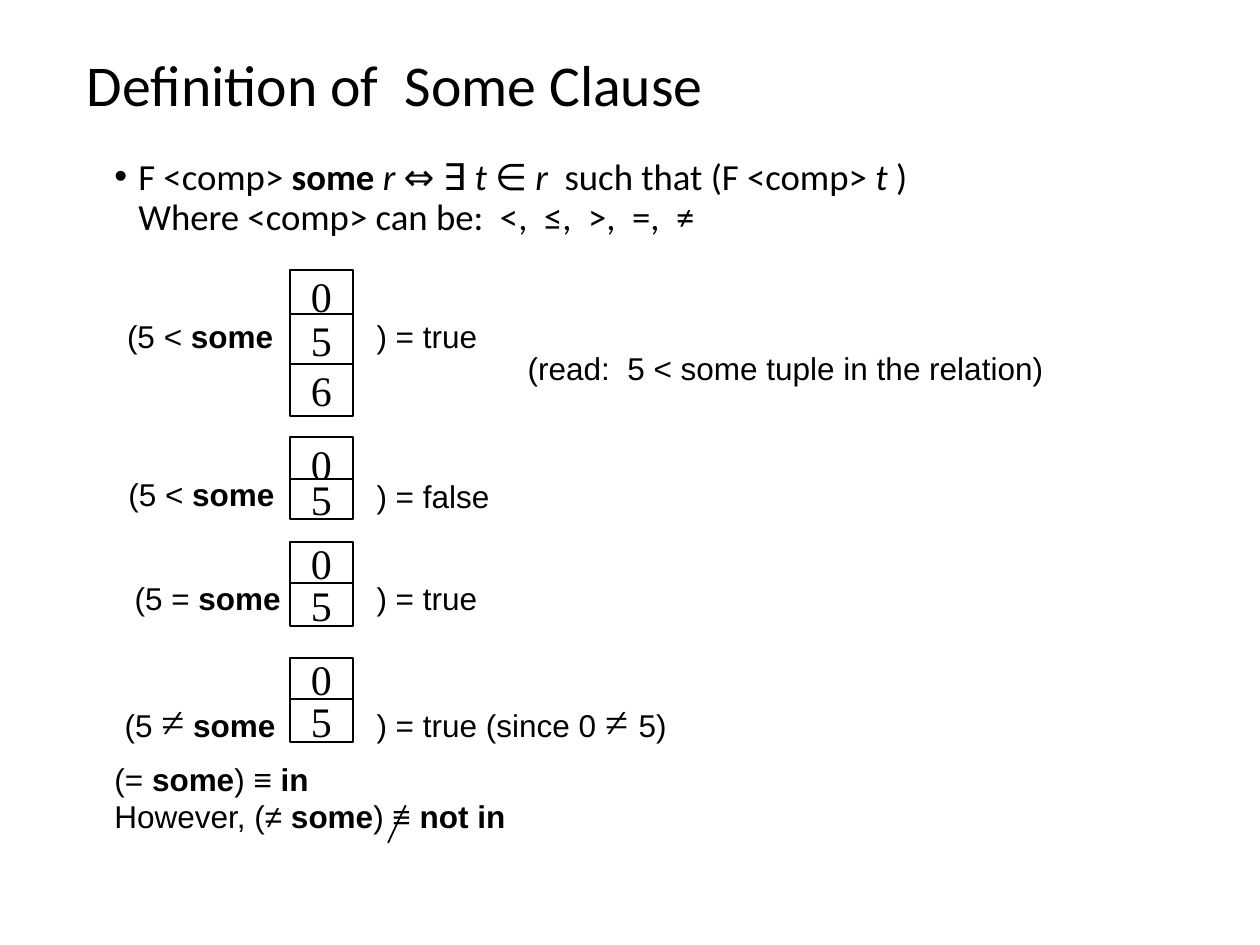
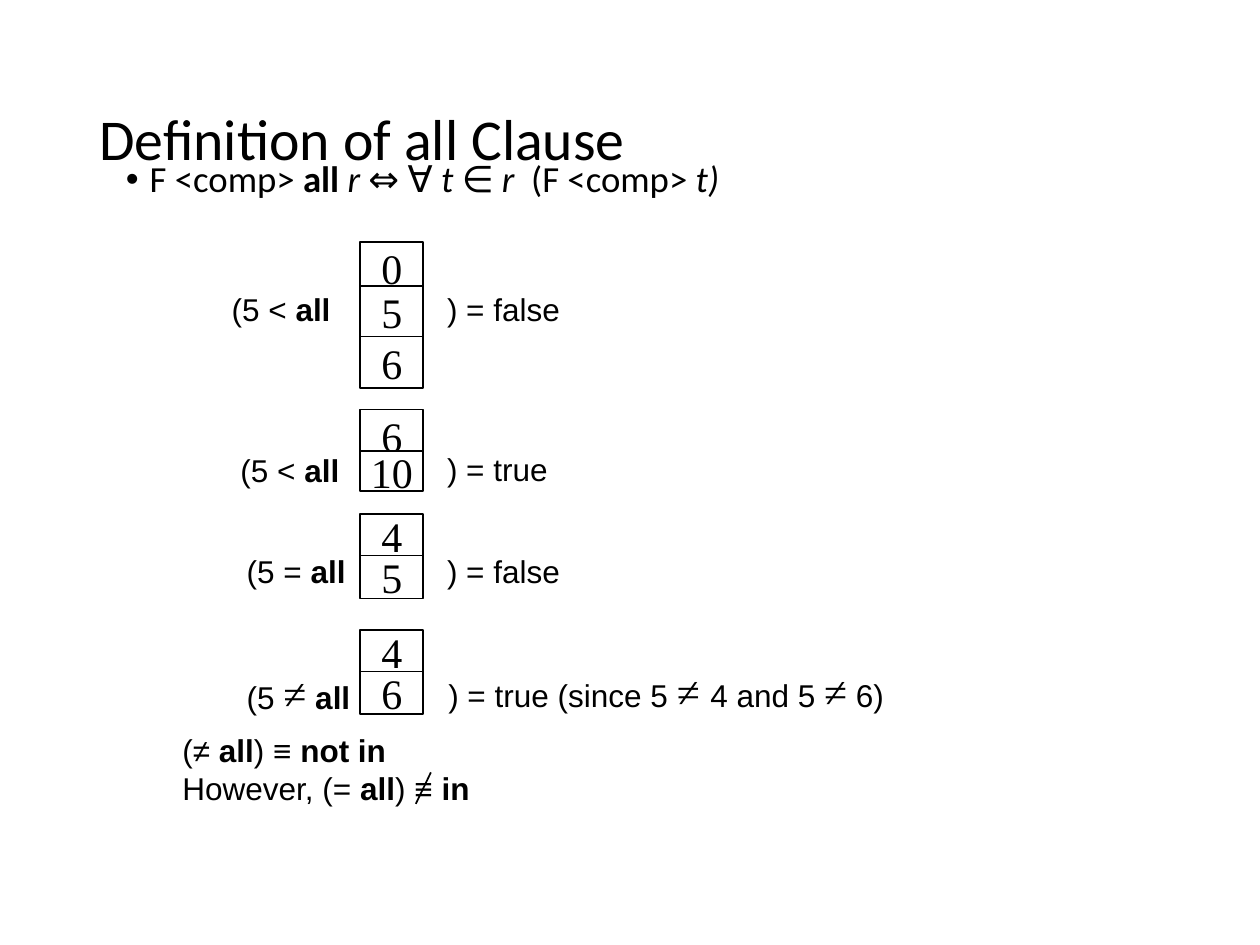
from lxml.etree import SubElement
from pptx import Presentation
from pptx.dml.color import RGBColor
from pptx.enum.shapes import MSO_CONNECTOR, MSO_SHAPE
from pptx.enum.text import MSO_ANCHOR, PP_ALIGN
from pptx.oxml.ns import qn
from pptx.util import Inches, Pt

COLORS = {"ink": "000000", "paper": "FFFFFF"}
INK = RGBColor.from_string(COLORS["ink"])
PAPER = RGBColor.from_string(COLORS["paper"])
BOX_WIDTH = 0.5
STACKS = [
    [(0, 0.41), (0.35, 0.41), (0.75, 0.41)],
    [(1.33, 0.42), (1.66, 0.32)],
    [(2.16, 0.34), (2.49, 0.34)],
    [(3.08, 0.34), (3.41, 0.34)],
]
NE = ("≠", "s")

SLIDES = [
    {
        "title": ("Definition of  Some Clause", (0.59, 0.36, 8.83, 0.67)),
        "body": (0.81, 1.21, 7.44, 0.78),
        "rule": [("F <comp> ", ""), ("some ", "b"), ("r ", "i"), ("⇔ ∃ ", ""),
                 ("t ", "i"), ("∈", ""), (" r  ", "i"), ("such that (F <comp> ", ""),
                 ("t ", "i"), (")", ""), ("\n", ""),
                 ("Where <comp> can be:  <,  ≤,  >,  =,  ≠", "")],
        "stacks_at": (2.3, 2.14),
        "values": [("0", "5", "6"), ("0", "5"), ("0", "5"), ("0", "5")],
        "labels": [
            ((0.91, 2.47, 1.48, 0.4), [("(5 < ", ""), ("some", "b")]),
            ((2.89, 2.47, 1, 0.4), [(") = true", "")]),
            ((4.09, 2.72, 5.33, 0.4), [("(read:  5 < some tuple in the relation)", "")]),
            ((0.92, 3.72, 1.51, 0.4), [("(5 < ", ""), ("some", "b")]),
            ((2.89, 3.74, 1.33, 0.4), [(") = false", "")]),
            ((0.97, 4.55, 1.67, 0.4), [("(5 = ", ""), ("some", "b")]),
            ((2.89, 4.55, 1.33, 0.4), [(") = true", "")]),
            ((0.89, 5.47, 1.58, 0.5), [("(5 ", ""), NE, (" ", ""), ("some", "b")]),
            ((2.89, 5.47, 2.75, 0.5), [(") = true (since 0 ", ""), ("≠ ", "s"), ("5)", "")]),
        ],
        "summary_at": (0.81, 5.98, 7.44, 0.78),
        "summary": [
            [("(= ", ""), ("some", "b"), (") ≡ ", ""), ("in", "b")],
            [("However, (≠ ", ""), ("some", "b"), (") ≡ ", ""), ("not in", "b")],
        ],
        "slash": (3.22, 6.39, 3.08, 6.69),
    },
    {
        "title": ("Definition of all Clause", (0.69, 0.4, 8.62, 1.45)),
        "body": (0.9, 1.23, 7.26, 0.42),
        "rule": [("F <comp> ", ""), ("all ", "b"), ("r ", "i"), ("⇔ ∀ ", ""),
                 ("t ", "i"), ("∈", ""), (" r ", "i"), (" (F <comp> ", ""), ("t)", "i")],
        "stacks_at": (2.86, 1.92),
        "values": [("0", "5", "6"), ("6", "10"), ("4", "5"), ("4", "6")],
        "labels": [
            ((1.74, 2.25, 1.33, 0.4), [("(5 < ", ""), ("all", "b")]),
            ((3.45, 2.25, 1.33, 0.4), [(") = false", "")]),
            ((1.81, 3.53, 1.33, 0.4), [("(5 < ", ""), ("all", "b")]),
            ((3.45, 3.52, 1.33, 0.4), [(") = true", "")]),
            ((1.86, 4.33, 1.33, 0.4), [("(5 = ", ""), ("all", "b")]),
            ((3.45, 4.33, 1.33, 0.4), [(") = false", "")]),
            ((1.86, 5.25, 1.83, 0.5), [("(5 ", ""), NE, (" ", ""), ("all", "b")]),
            ((3.46, 5.23, 5, 0.5), [(") = true (since 5 ", ""), ("≠ ", "s"),
                                    ("4 and 5 ", ""), NE, (" 6)", "")]),
        ],
        "summary_at": (1.35, 5.75, 7.44, 0.78),
        "summary": [
            [("(≠ ", ""), ("all", "b"), (") ≡ ", ""), ("not in", "b")],
            [("However, (= ", ""), ("all", "b"), (") ≡ ", ""), ("in", "b")],
        ],
        "slash": (3.42, 6.13, 3.3, 6.38),
    },
]


def add_runs(p, runs, font, size):
    for text, style in runs:
        if text == "\n":
            p.add_line_break()
            continue
        r = p.add_run()
        r.text = text
        r.font.name = "Times New Roman" if style == "s" else font
        r.font.size = Pt(24 if style == "s" else size)
        r.font.bold = style == "b"
        r.font.italic = style == "i"
        r.font.color.rgb = INK


def add_text(s, at, paragraphs, font="Arial", size=18):
    tf = s.shapes.add_textbox(*map(Inches, at)).text_frame
    tf.word_wrap = True
    for i, runs in enumerate(paragraphs):
        p = tf.add_paragraph() if i else tf.paragraphs[0]
        add_runs(p, runs, font, size)
    return tf


prs = Presentation()
prs.slide_width, prs.slide_height = Inches(10), Inches(7.5)

for page in SLIDES:
    s = prs.slides.add_slide(prs.slide_layouts[6])
    s.background.fill.solid()
    s.background.fill.fore_color.rgb = PAPER

    title, at = page["title"]
    tf = add_text(s, at, [[(title, "")]], "Calibri", 33)
    tf.vertical_anchor = MSO_ANCHOR.MIDDLE
    tf.paragraphs[0].line_spacing = 0.9

    p = add_text(s, page["body"], [page["rule"]], "Calibri", 21).paragraphs[0]
    p.line_spacing = 0.9
    p.space_before = Pt(7.5)
    pPr = p._p.get_or_add_pPr()
    pPr.set("marL", str(Inches(0.19)))
    pPr.set("indent", str(Inches(-0.19)))
    SubElement(pPr, qn("a:buFont")).set("typeface", "Arial")
    SubElement(pPr, qn("a:buChar")).set("char", "•")

    left, top = page["stacks_at"]
    for stack, values in zip(STACKS, page["values"]):
        for (offset, height), value in zip(stack, values):
            sp = s.shapes.add_shape(MSO_SHAPE.RECTANGLE, Inches(left), Inches(top + offset),
                                    Inches(BOX_WIDTH), Inches(height))
            sp.shadow.inherit = False
            sp.fill.solid()
            sp.fill.fore_color.rgb = PAPER
            sp.line.color.rgb = INK
            sp.line.width = Pt(1)
            tf = sp.text_frame
            tf.word_wrap = False
            tf.vertical_anchor = MSO_ANCHOR.MIDDLE
            tf.paragraphs[0].alignment = PP_ALIGN.CENTER
            add_runs(tf.paragraphs[0], [(value, "")], "Times New Roman", 24)

    for at, runs in page["labels"]:
        add_text(s, at, [runs])
    add_text(s, page["summary_at"], page["summary"])

    slash = s.shapes.add_connector(MSO_CONNECTOR.STRAIGHT, *map(Inches, page["slash"]))
    slash.line.color.rgb = INK
    slash.line.width = Pt(1)
    SubElement(slash._element.spPr, qn("a:effectLst"))

prs.save("out.pptx")
